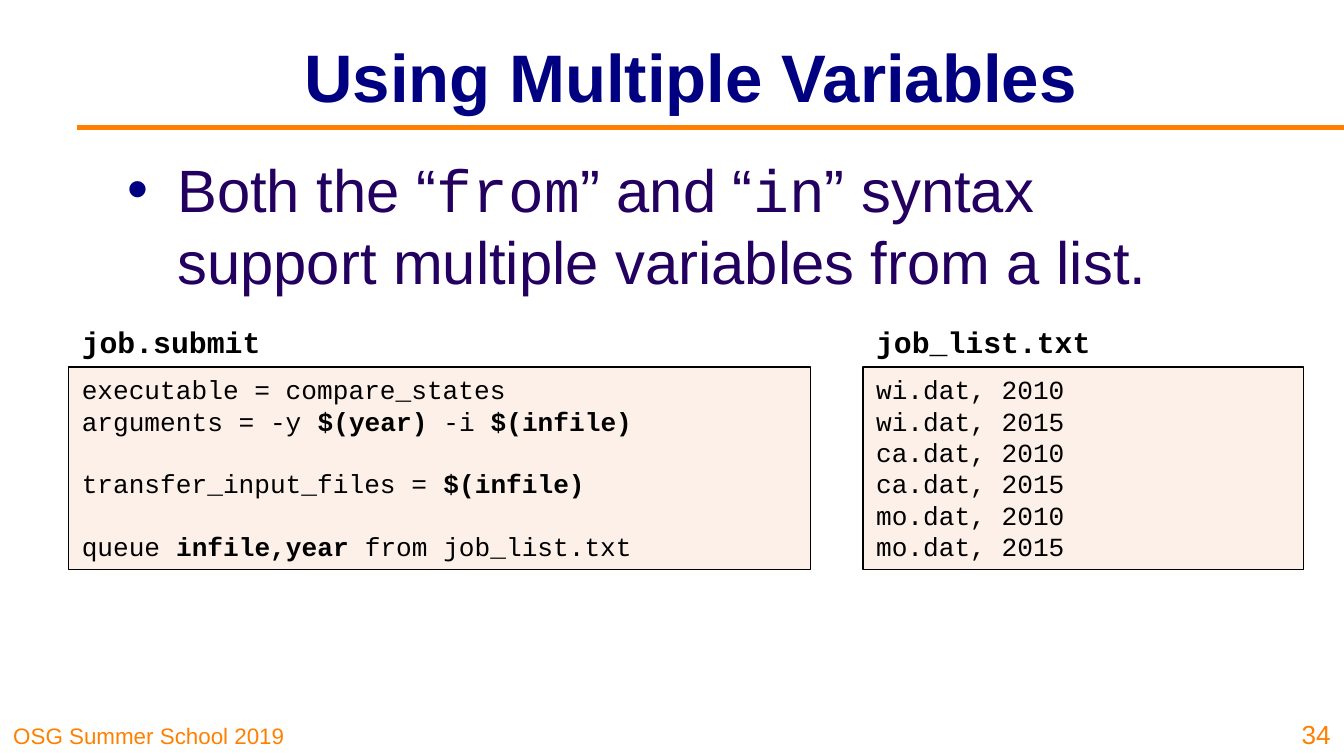
"""Build the slide on queueing jobs with multiple variables."""
from lxml import etree
from pptx import Presentation
from pptx.dml.color import RGBColor
from pptx.enum.shapes import MSO_CONNECTOR, MSO_SHAPE
from pptx.enum.text import MSO_ANCHOR, MSO_AUTO_SIZE, PP_ALIGN
from pptx.oxml.ns import qn
from pptx.util import Inches, Pt

LINE, RECT = MSO_CONNECTOR.STRAIGHT, MSO_SHAPE.RECTANGLE
TOP, MID, LOW = MSO_ANCHOR.TOP, MSO_ANCHOR.MIDDLE, MSO_ANCHOR.BOTTOM
LEFT, MIDST, RIGHT = PP_ALIGN.LEFT, PP_ALIGN.CENTER, PP_ALIGN.RIGHT
NO_FIT = MSO_AUTO_SIZE.NONE

NAVY = RGBColor(0x00, 0x00, 0x80)
PLUM = RGBColor(0x23, 0x00, 0x5F)
AMBER = RGBColor(0xFF, 0x80, 0x00)
CREAM = RGBColor(0xFD, 0xF0, 0xE9)
BLACK = RGBColor(0, 0, 0)
SANS, MONO = "Arial", "Courier New"

TITLE = "Using Multiple Variables"
POINT = [
    ("Both the “", SANS), ("from", MONO), ("” and “", SANS), ("in", MONO),
    ("” syntax support multiple variables from a list.", SANS),
]
SUBMIT = [
    (0, [("executable = compare_states", False)]),
    (0, [("arguments = -y ", False), ("$(year) ", True),
         ("-i ", False), ("$(infile)", True)]),
    (1, [("transfer_input_files = ", False), ("$(infile)", True)]),
    (1, [("queue ", False), ("infile,year ", True),
         ("from job_list.txt", False)]),
]
JOBS = [(0, [(f"{state}.dat, {year}", False)])
        for state in ("wi", "ca", "mo") for year in (2010, 2015)]
FILES = [
    ("job.submit", 0.51, 5.52, 1.55, SUBMIT),
    ("job_list.txt", 6.42, 3.28, 1.82, JOBS),
]
NOTES = [
    ("OSG Summer School 2019", (0, 5.31, 2.48, 0.31), 12, LEFT),
    ("34", (9.54, 5.25, 0.46, 0.38), 14, RIGHT),
]
WIDE = 10
HIGH = WIDE * 9 / 16
CODE_TOP, CODE_H, NAME_H = 2.73, 1.51, 0.37
CODE_SIZE, CODE_GAP = 14, 16.8


def place(shape, box):
    shape.left, shape.top, shape.width, shape.height = map(Inches, box)


def frame(shape, anchor, wrap=True):
    text = shape.text_frame
    text.auto_size = NO_FIT
    text.word_wrap = wrap
    text.vertical_anchor = anchor
    text.margin_left = text.margin_right = Inches(0.1)
    text.margin_top = text.margin_bottom = Inches(0.05)
    return text


def write(para, text, size, face, color, bold=False):
    run = para.add_run()
    run.text = text
    font = run.font
    font.size, font.name, font.bold = Pt(size), face, bold
    font.color.rgb = color


def label(slide, text, box, size, face, color, bold, align, anchor, wrap):
    body = frame(slide.shapes.add_textbox(*map(Inches, box)), anchor, wrap)
    para = body.paragraphs[0]
    para.alignment = align
    write(para, text, size, face, color, bold)


def rule(slide):
    line = slide.shapes.add_connector(
        LINE, Inches(0.57), Inches(0.95), Inches(WIDE), Inches(0.95))
    line.line.color.rgb = AMBER
    line.line.width = Pt(3)
    etree.SubElement(line.element.spPr, qn("a:effectLst"))


def head(slide):
    title = slide.shapes.title
    place(title, (1.34, 0.09, 7.6, 0.94))
    para = frame(title, MID).paragraphs[0]
    para.alignment = MIDST
    write(para, TITLE, 36, SANS, NAVY, True)


def bullet(slide):
    body = slide.placeholders[1]
    place(body, (0.85, 1.09, 8.5, 3.84))
    para = frame(body, TOP).paragraphs[0]
    para.space_before = Pt(0)
    props = para._p.get_or_add_pPr()
    props.set("marL", str(Inches(0.37)))
    props.set("indent", str(-Inches(0.37)))
    tint = etree.SubElement(props, qn("a:buClr"))
    etree.SubElement(tint, qn("a:srgbClr")).set("val", str(NAVY))
    etree.SubElement(props, qn("a:buFont")).set("typeface", SANS)
    etree.SubElement(props, qn("a:buChar")).set("char", "•")
    for text, face in POINT:
        write(para, text, 32, face, PLUM)


def code(slide, left, width, lines):
    box = slide.shapes.add_shape(
        RECT, *map(Inches, (left, CODE_TOP, width, CODE_H)))
    box.shadow.inherit = False
    box.fill.solid()
    box.fill.fore_color.rgb = CREAM
    box.line.color.rgb = BLACK
    box.line.width = Pt(0.75)
    body = frame(box, TOP)
    for i, (gap, runs) in enumerate(lines):
        para = body.add_paragraph() if i else body.paragraphs[0]
        para.alignment = LEFT
        para.space_before = Pt(gap * CODE_GAP)
        for text, bold in runs:
            write(para, text, CODE_SIZE, MONO, BLACK, bold)


def main():
    deck = Presentation()
    deck.slide_width, deck.slide_height = Inches(WIDE), Inches(HIGH)
    slide = deck.slides.add_slide(deck.slide_layouts[1])
    rule(slide)
    head(slide)
    bullet(slide)
    for name, left, width, span, lines in FILES:
        code(slide, left, width, lines)
        label(slide, name, (left, CODE_TOP - NAME_H, span, NAME_H),
              16, MONO, BLACK, True, LEFT, TOP, False)
    for text, box, size, align in NOTES:
        label(slide, text, box, size, SANS, AMBER, False, align, LOW, True)
    deck.save("out.pptx")


if __name__ == "__main__":
    main()
